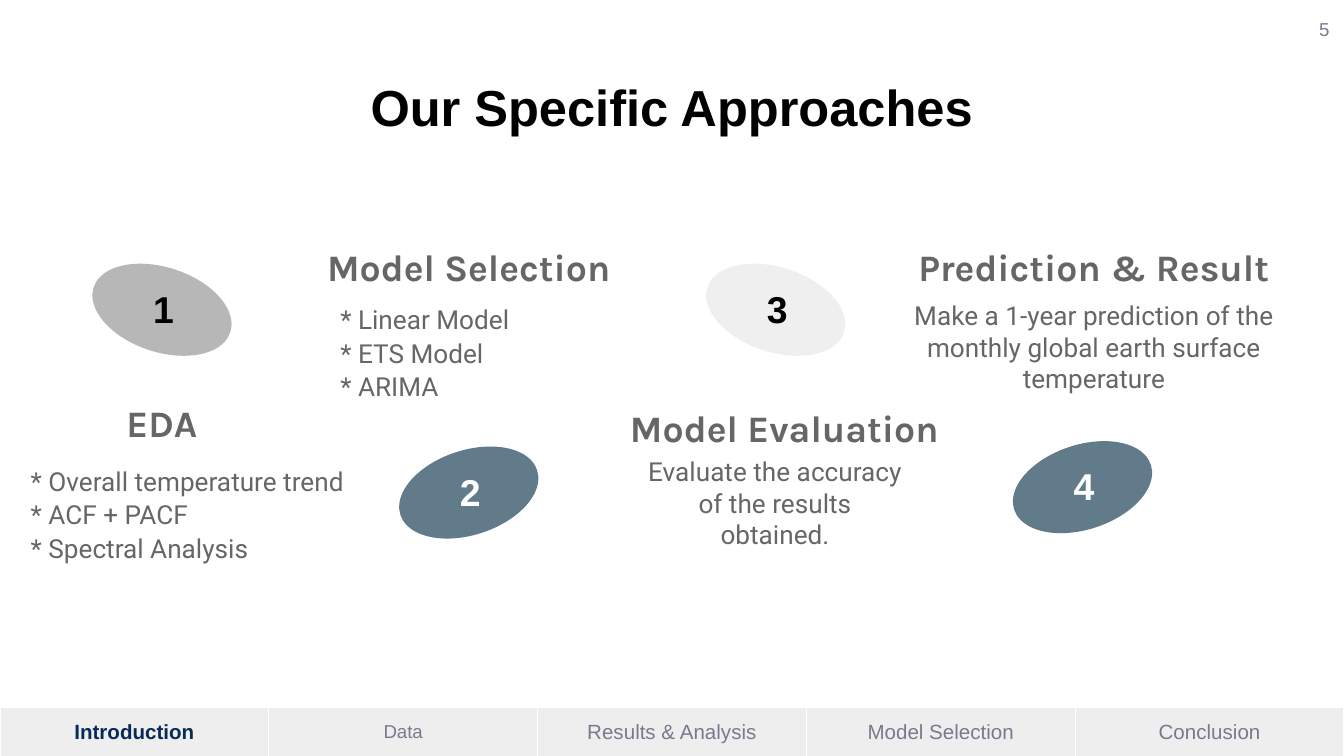
from lxml import etree
from pptx import Presentation
from pptx.dml.color import RGBColor
from pptx.enum.shapes import MSO_SHAPE
from pptx.enum.text import MSO_ANCHOR, PP_ALIGN
from pptx.oxml.ns import qn
from pptx.util import Inches, Pt

GREY, MUTED, STEEL = "666666", "79798F", "627B8B"
SECTIONS = ["Introduction", "Data", "Results & Analysis", "Model Selection", "Conclusion"]
BADGE_W, BADGE_H = 1.07, 0.63
FIRST_BADGE, LAST_BADGE = 0.67, 7.52

# Heading and body boxes are (dx, dy, width), measured from the badge
STEPS = [
    dict(top=1.99, tilt=18.2, fill="B7B7B7", color="000000",
         heading="EDA", heading_box=(-0.16, 0.97, 1.39),
         body=["* Overall temperature trend", "* ACF + PACF", "* Spectral Analysis"],
         body_box=(-0.54, 1.5, 2.59)),
    dict(top=3.35, tilt=-18.1, fill=STEEL, color="FFFFFF",
         heading="Model Selection", heading_box=(-0.71, -1.55, 2.49),
         body=["* Linear Model", "* ETS Model", "* ARIMA"],
         body_box=(-0.52, -1.06, 1.95)),
    dict(top=1.99, tilt=18.2, fill="EFEFEF", color="000000",
         heading="Model Evaluation", heading_box=(-0.86, 1.01, 2.92),
         body=["Evaluate the accuracy of the results obtained."],
         body_box=(-0.55, 1.3, 2.16)),
    dict(top=3.31, tilt=-18.1, fill=STEEL, color="FFFFFF",
         heading="Prediction & Result", heading_box=(-0.96, -1.51, 3.16),
         body=["Make a 1-year prediction of the monthly global earth surface temperature"],
         body_box=(-0.96, -1.18, 3.16)),
]


def rgb(value):
    return RGBColor.from_string(value)


def set_font(p, size, name, color, bold=False):
    p.font.size = Pt(size)
    p.font.name = name
    p.font.bold = bold
    p.font.color.rgb = rgb(color)


def add_text(slide, x, y, w, h, lines, size, name, color, bold=False,
             align=PP_ALIGN.CENTER, anchor=MSO_ANCHOR.TOP):
    box = slide.shapes.add_textbox(Inches(x), Inches(y), Inches(w), Inches(h))
    tf = box.text_frame
    tf.word_wrap = True
    tf.vertical_anchor = anchor
    tf.margin_left = tf.margin_right = tf.margin_top = tf.margin_bottom = Inches(0.1)
    for i, line in enumerate(lines):
        p = tf.paragraphs[0] if i == 0 else tf.add_paragraph()
        p.text = line
        p.alignment = align
        set_font(p, size, name, color, bold)
    return tf


def set_borders(cell, color, width):
    tc_pr = cell._tc.get_or_add_tcPr()
    for i, side in enumerate(("lnL", "lnR", "lnT", "lnB")):
        ln = etree.Element(qn(f"a:{side}"), w=str(Pt(width)))
        fill = etree.SubElement(ln, qn("a:solidFill"))
        etree.SubElement(fill, qn("a:srgbClr"), val=color)
        tc_pr.insert(i, ln)


def add_section_bar(slide, x, y, w, h, active):
    frame = slide.shapes.add_table(1, len(SECTIONS), Inches(x), Inches(y), Inches(w), Inches(h))
    for i, section in enumerate(SECTIONS):
        cell = frame.table.cell(0, i)
        cell.fill.solid()
        cell.fill.fore_color.rgb = rgb("EEEEEE")
        cell.vertical_anchor = MSO_ANCHOR.MIDDLE
        cell.margin_left = cell.margin_right = Inches(0.1)
        cell.margin_top = cell.margin_bottom = Inches(0.1)
        p = cell.text_frame.paragraphs[0]
        p.text = section
        p.alignment = PP_ALIGN.CENTER
        is_active = section == active
        set_font(p, 10 if section == "Data" else 11, "Arial",
                 "082A58" if is_active else MUTED, is_active)
        set_borders(cell, "FFFFFF", 0.75)


def add_step(slide, x, y, number, step):
    # Heading
    dx, dy, w = step["heading_box"]
    add_text(slide, x + dx, y + dy, w, 0.37, [step["heading"]], 20, "Karla", GREY,
             bold=True, anchor=MSO_ANCHOR.MIDDLE)

    # Body: several lines make a tight left-aligned list
    dx, dy, w = step["body_box"]
    is_list = len(step["body"]) > 1
    tf = add_text(slide, x + dx, y + dy, w, 0.84, step["body"], 14, "Roboto", GREY,
                  align=PP_ALIGN.LEFT if is_list else PP_ALIGN.CENTER)
    if is_list:
        for i, p in enumerate(tf.paragraphs):
            p.line_spacing = 0.35
            if i > 0:
                p.space_before = Pt(12)

    # Tilted badge with its number
    sp = slide.shapes.add_shape(MSO_SHAPE.OVAL, Inches(x), Inches(y),
                                Inches(BADGE_W), Inches(BADGE_H))
    sp.rotation = step["tilt"]
    sp.shadow.inherit = False
    sp.fill.solid()
    sp.fill.fore_color.rgb = rgb(step["fill"])
    sp.line.fill.background()
    add_text(slide, x + 0.37, y + 0.04, 0.48, 0.54, [str(number)], 20, "Arial",
             step["color"], bold=True, align=PP_ALIGN.LEFT)


def main():
    prs = Presentation()
    # 16:9 page
    prs.slide_width = Inches(10)
    prs.slide_height = prs.slide_width * 9 // 16
    slide = prs.slides.add_slide(prs.slide_layouts[6])

    add_section_bar(slide, 0, 5.26, 10, 0.38, "Introduction")
    # Title
    add_text(slide, 0.34, 0.49, 9.32, 0.63, ["Our Specific Approaches"], 27.1, "Arial",
             "000000", bold=True, anchor=MSO_ANCHOR.BOTTOM)
    # Steps, with badges at equal distances
    pitch = (LAST_BADGE - FIRST_BADGE) / (len(STEPS) - 1)
    for i, step in enumerate(STEPS):
        add_step(slide, FIRST_BADGE + i * pitch, step["top"], i + 1, step)
    # Page number
    add_text(slide, 9.39, 0, 0.6, 0.43, ["5"], 10, "Arial", MUTED,
             align=PP_ALIGN.RIGHT, anchor=MSO_ANCHOR.MIDDLE)

    prs.save("out.pptx")


if __name__ == "__main__":
    main()
